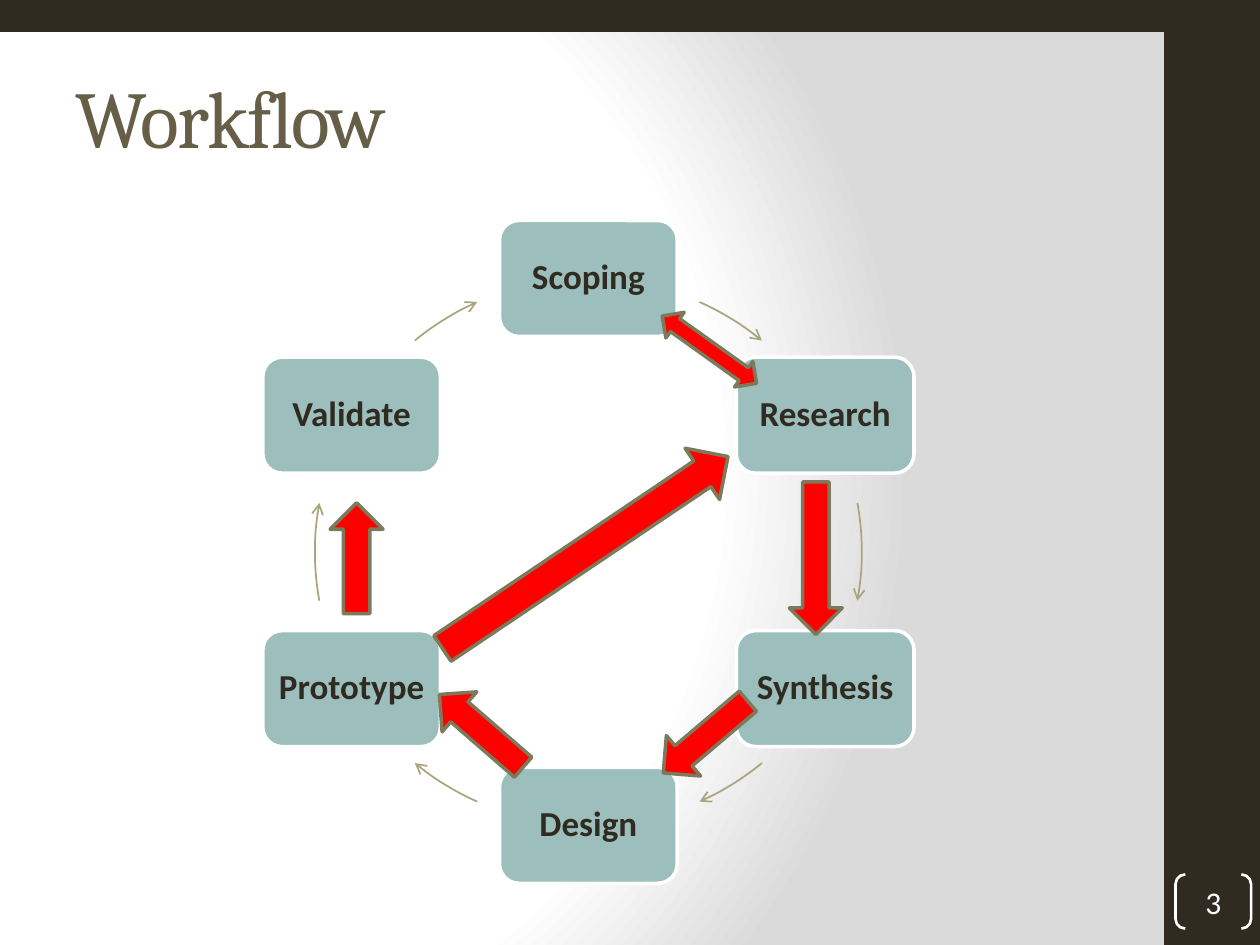
"""Build the Workflow slide: a six-step cycle with highlighted transitions."""
from dataclasses import dataclass
from math import cos, radians, sin

from lxml.etree import SubElement
from pptx import Presentation
from pptx.dml.color import RGBColor
from pptx.enum.shapes import MSO_SHAPE
from pptx.enum.text import MSO_ANCHOR, PP_ALIGN
from pptx.oxml import parse_xml
from pptx.oxml.ns import nsdecls, qn
from pptx.util import Inches, Pt

COLORS = {
    "dark": "2F2B20", "title": "675E47", "box": "9CBEBD", "white": "FFFFFF",
    "shade": "DADADA", "arc": "A9A57C", "red": "FF0000", "edge": "7D7A5C",
}
CENTER_X, CENTER_Y, RADIUS = 4.67, 4.38, 2.17
BOX_W, BOX_H = 1.41, 0.92


@dataclass
class Step:
    label: str
    arc_start: float
    arc_end: float


@dataclass
class Arrow:
    left: float
    top: float
    width: float
    height: float
    rotation: float
    kind: MSO_SHAPE = MSO_SHAPE.RIGHT_ARROW


STEPS = [
    Step("Scoping", 294, 309.4),
    Step("Research", 349.7, 10.3),
    Step("Synthesis", 50.6, 66),
    Step("Design", 114, 129.4),
    Step("Prototype", 169.7, 190.3),
    Step("Validate", 230.6, 246),
]
ARROWS = [
    Arrow(5.17, 2.65, 0.92, 0.25, 35.5, MSO_SHAPE.LEFT_RIGHT_ARROW),
    Arrow(5.87, 4.22, 1.21, 0.42, 90),
    Arrow(5.16, 5.64, 0.88, 0.42, 139.7),
    Arrow(3.38, 5.59, 0.88, 0.42, 221),
    Arrow(3.28, 4.14, 2.73, 0.49, 326.1),
    Arrow(2.39, 4.22, 0.88, 0.42, 270),
]


def rgb(name: str) -> RGBColor:
    return RGBColor.from_string(COLORS[name])


def add_shape(s, kind: MSO_SHAPE, box: tuple, fill: str | None, line: str, width: float):
    sp = s.shapes.add_shape(kind, *map(Inches, box))
    sp.shadow.inherit = False
    if fill:
        sp.fill.solid()
        sp.fill.fore_color.rgb = rgb(fill)
    else:
        sp.fill.background()
    sp.line.color.rgb = rgb(line)
    sp.line.width = Pt(width)
    return sp


def add_label(sp, text: str, size: float, color: str, bold: bool, inset: float) -> None:
    tf = sp.text_frame
    tf.word_wrap = True
    tf.vertical_anchor = MSO_ANCHOR.MIDDLE
    tf.margin_left = tf.margin_right = tf.margin_top = tf.margin_bottom = Inches(inset)
    p = tf.paragraphs[0]
    p.text = text
    p.alignment = PP_ALIGN.CENTER
    p.font.name = "Calibri"
    p.font.size = Pt(size)
    p.font.bold = bold
    p.font.color.rgb = rgb(color)


def add_step(s, step: Step, angle: float) -> None:
    x = CENTER_X + RADIUS * cos(radians(angle))
    y = CENTER_Y + RADIUS * sin(radians(angle))
    box = (x - BOX_W / 2, y - BOX_H / 2, BOX_W, BOX_H)
    sp = add_shape(s, MSO_SHAPE.ROUNDED_RECTANGLE, box, "box", "white", 2)
    add_label(sp, step.label, 20, "dark", True, 0.08)
    sp.text_frame.paragraphs[0].line_spacing = 0.9


def add_arc(s, step: Step) -> None:
    box = (CENTER_X - RADIUS, CENTER_Y - RADIUS, 2 * RADIUS, 2 * RADIUS)
    sp = add_shape(s, MSO_SHAPE.ARC, box, None, "arc", 1)
    sp.adjustments[0] = step.arc_start * 0.6
    sp.adjustments[1] = step.arc_end * 0.6
    SubElement(sp.line._get_or_add_ln(), qn("a:tailEnd"), type="arrow")


def add_arrow(s, arrow: Arrow) -> None:
    box = (arrow.left, arrow.top, arrow.width, arrow.height)
    sp = add_shape(s, arrow.kind, box, "red", "edge", 2)
    sp.rotation = arrow.rotation


def set_background(s) -> None:
    s.background.fill.solid()
    stops = "".join(
        f'<a:gs pos="{pos}000"><a:srgbClr val="{COLORS[name]}"/></a:gs>'
        for pos, name in ((0, "white"), (75, "white"), (100, "shade"))
    )
    grad = parse_xml(
        f'<a:gradFill {nsdecls("a")} rotWithShape="1"><a:gsLst>{stops}</a:gsLst>'
        '<a:path path="circle"><a:fillToRect l="20000" t="50000" r="100000" b="50000"/>'
        "</a:path></a:gradFill>"
    )
    solid = s._element.find(f'.//{qn("p:bgPr")}/{qn("a:solidFill")}')
    solid.getparent().replace(solid, grad)


def set_title(s, text: str) -> None:
    sp = s.shapes.title
    sp.left, sp.top, sp.width, sp.height = map(Inches, (0.5, 0.3, 8.33, 1.25))
    sp.text_frame.vertical_anchor = MSO_ANCHOR.MIDDLE
    p = sp.text_frame.paragraphs[0]
    p.alignment = PP_ALIGN.LEFT
    r = p.add_run()
    r.text = text
    r._r.get_or_add_rPr().set("spc", "-100")
    p.font.name = "Cambria"
    p.font.size = Pt(46)
    p.font.color.rgb = rgb("title")


def main() -> None:
    prs = Presentation()
    prs.slide_width, prs.slide_height = Inches(10), Inches(7.5)
    s = prs.slides.add_slide(prs.slide_layouts[5])
    set_background(s)
    for bar in ((9.25, 0, 0.75, 7.5), (0, 0, 9.25, 0.24)):
        add_shape(s, MSO_SHAPE.RECTANGLE, bar, "dark", "dark", 2)
    set_title(s, "Workflow")
    for i, step in enumerate(STEPS):
        add_step(s, step, 60 * i - 90)
        add_arc(s, step)
    sp = add_shape(s, MSO_SHAPE.DOUBLE_BRACKET, (9.33, 6.94, 0.6, 0.43), None, "white", 1.5)
    sp.adjustments[0] = 0.18
    add_label(sp, "3", 18, "white", False, 0)
    for arrow in ARROWS:
        add_arrow(s, arrow)
    prs.save("out.pptx")


if __name__ == "__main__":
    main()
